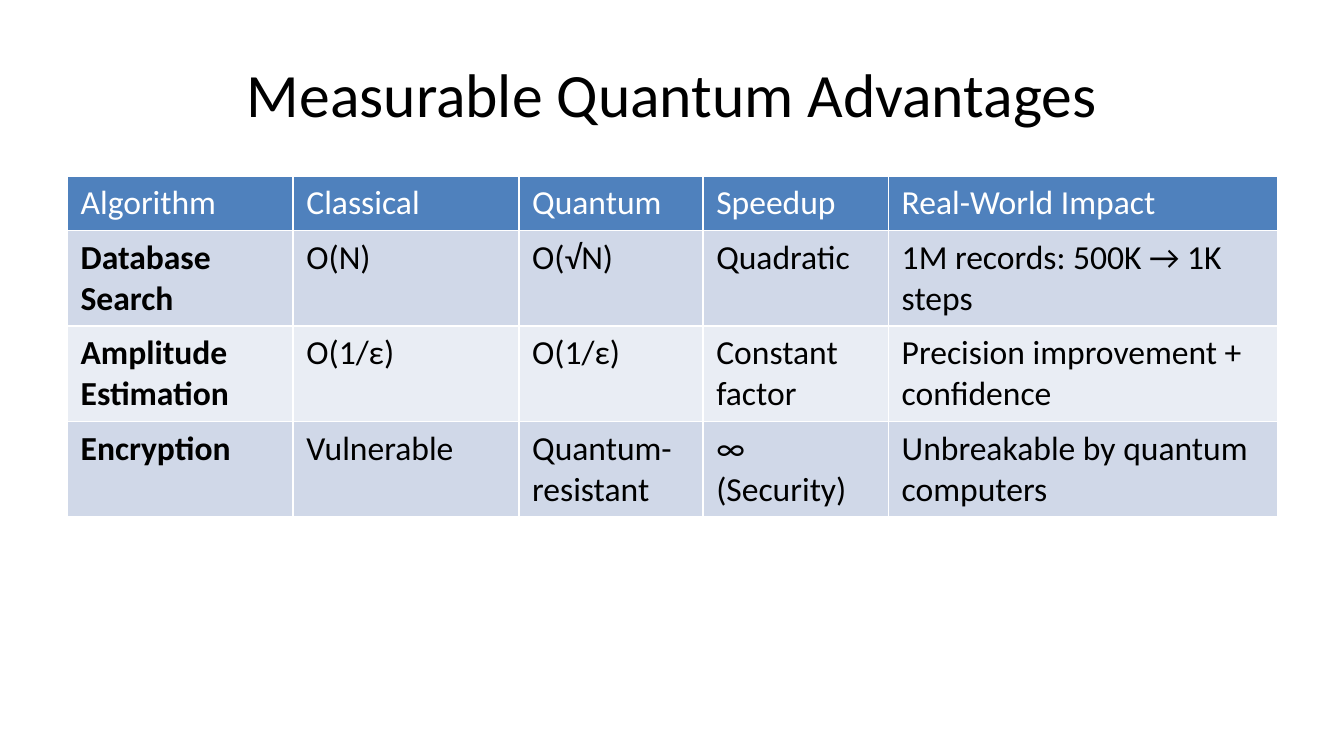
"""Build a slide comparing classical and quantum algorithms in a table."""

from pptx import Presentation
from pptx.dml.color import RGBColor
from pptx.enum.text import MSO_ANCHOR, PP_ALIGN
from pptx.util import Inches, Pt

TITLE = "Measurable Quantum Advantages"
ROWS = [
    ("Algorithm", "Classical", "Quantum", "Speedup", "Real-World Impact"),
    ("Database Search", "O(N)", "O(√N)", "Quadratic", "1M records: 500K → 1K steps"),
    ("Amplitude Estimation", "O(1/ε)", "O(1/ε)", "Constant factor",
     "Precision improvement + confidence"),
    ("Encryption", "Vulnerable", "Quantum-resistant", "∞ (Security)",
     "Unbreakable by quantum computers"),
]
COLUMN_WIDTHS = [1.68, 1.68, 1.37, 1.38, 2.9]
MINIMUM_ROW_HEIGHT = Inches(0)

FONT = "Calibri"
BLACK = RGBColor(0x00, 0x00, 0x00)
WHITE = RGBColor(0xFF, 0xFF, 0xFF)
HEADER_BLUE = RGBColor(0x4F, 0x81, 0xBD)
BANDS = [RGBColor(0xE9, 0xED, 0xF4), RGBColor(0xD0, 0xD8, 0xE8)]


def format_text(text_frame, size, color, bold=False):
    for paragraph in text_frame.paragraphs:
        for run in paragraph.runs:
            run.font.name = FONT
            run.font.size = Pt(size)
            run.font.bold = bold
            run.font.color.rgb = color


def add_title(slide):
    title = slide.shapes.title
    title.left, title.top = Inches(0.5), Inches(0.23)
    title.width, title.height = Inches(9), Inches(0.93)
    title.text_frame.text = TITLE
    title.text_frame.vertical_anchor = MSO_ANCHOR.MIDDLE
    title.text_frame.paragraphs[0].alignment = PP_ALIGN.CENTER
    format_text(title.text_frame, 33, BLACK)


def add_comparison(slide):
    frame = slide.shapes.add_table(
        len(ROWS), len(COLUMN_WIDTHS), Inches(0.5), Inches(1.31), Inches(9), Inches(3.71))
    table = frame.table
    for column, width in zip(table.columns, COLUMN_WIDTHS):
        column.width = Inches(width)
    for row_index, (row, texts) in enumerate(zip(table.rows, ROWS)):
        row.height = MINIMUM_ROW_HEIGHT
        is_header = row_index == 0
        for column_index, (cell, text) in enumerate(zip(row.cells, texts)):
            cell.text_frame.text = text
            cell.fill.solid()
            cell.fill.fore_color.rgb = HEADER_BLUE if is_header else BANDS[row_index % 2]
            format_text(cell.text_frame, 18, WHITE if is_header else BLACK,
                        bold=not is_header and column_index == 0)
    frame.width, frame.height = Inches(9), Inches(3.71)


def main():
    presentation = Presentation()
    presentation.slide_width = Inches(10)
    presentation.slide_height = Inches(10 * 9 / 16)
    slide = presentation.slides.add_slide(presentation.slide_layouts[5])
    add_title(slide)
    add_comparison(slide)
    presentation.save("out.pptx")


if __name__ == "__main__":
    main()
